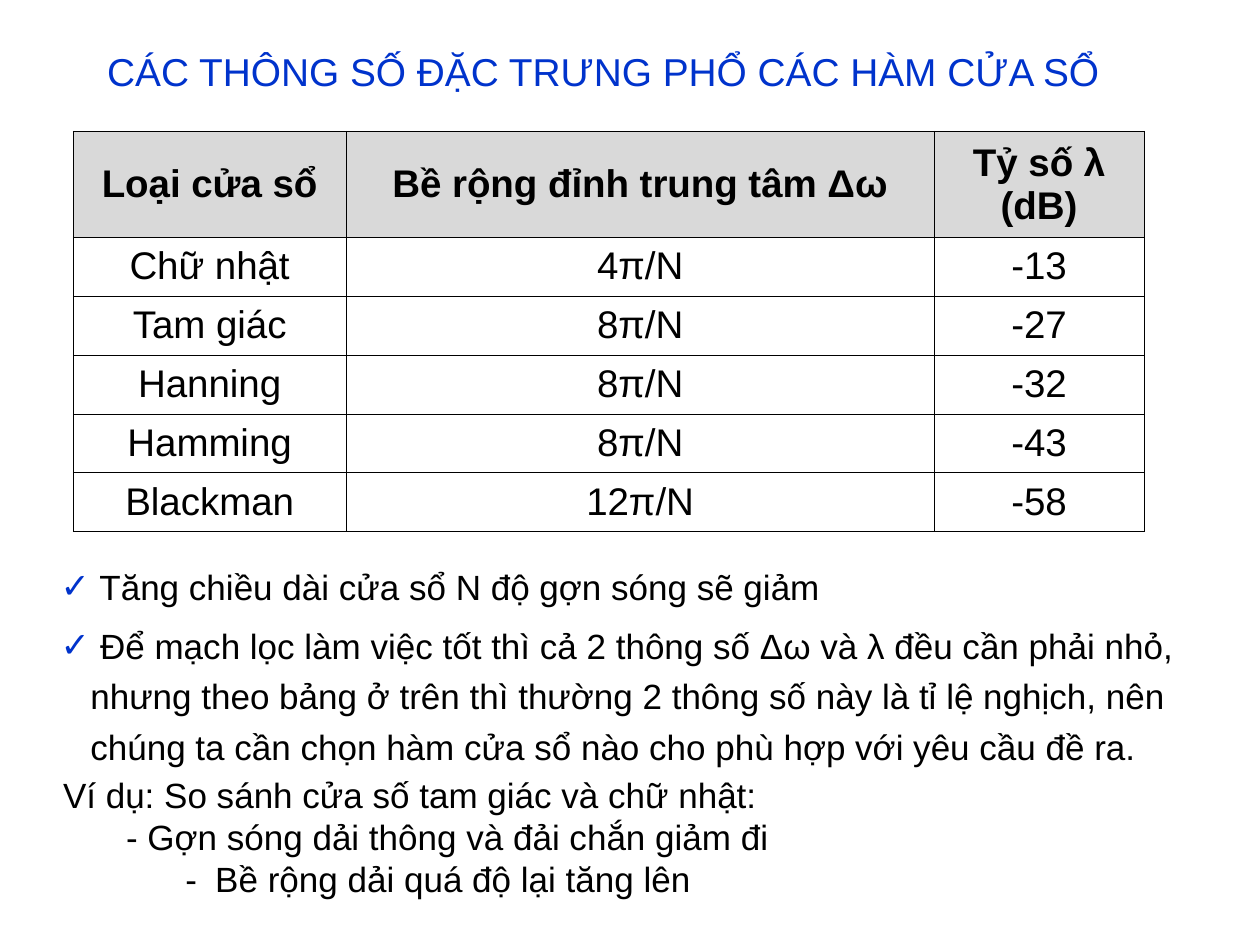
"""Build a slide that compares the spectral parameters of window functions."""
import pptx
import pptx.dml.color
import pptx.enum.text
import pptx.oxml
import pptx.oxml.ns
import pptx.util

Pt = pptx.util.Pt
ALIGN = pptx.enum.text.PP_ALIGN
ANCHOR = pptx.enum.text.MSO_ANCHOR
FONT = "Arial"
BLACK, BLUE, GREY = "000000", "0033CC", "D9D9D9"

TITLE = "CÁC THÔNG SỐ ĐẶC TRƯNG PHỔ CÁC HÀM CỬA SỔ"
WINDOWS = [
    ("Loại cửa sổ", "Bề rộng đỉnh trung tâm Δω", "Tỷ số λ (dB)"),
    ("Chữ nhật", "4π/N", "-13"),
    ("Tam giác", "8π/N", "-27"),
    ("Hanning", "8π/N", "-32"),
    ("Hamming", "8π/N", "-43"),
    ("Blackman", "12π/N", "-58"),
]
REMARKS = [
    " Tăng chiều dài cửa sổ N độ gợn sóng sẽ giảm",
    " Để mạch lọc làm việc tốt thì cả 2 thông số Δω và λ đều cần phải nhỏ, "
    "nhưng theo bảng ở trên thì thường 2 thông số này là tỉ lệ nghịch, nên "
    "chúng ta cần chọn hàm cửa sổ nào cho phù hợp với yêu cầu đề ra.",
]
EXAMPLE = [
    ("Ví dụ: So sánh cửa số tam giác và chữ nhật:", 0, 0),
    ("- Gợn sóng dải thông và đải chắn giảm đi", 36, 0),
    ("-\tBề rộng dải quá độ lại tăng lên", 87, -17),
]
COLUMN_WIDTHS = [156, 336, 120]
HEADER_HEIGHT, ROW_HEIGHT = 60.5, 33.7
BORDER_WIDTH = 0.45


def color(value):
    return pptx.dml.color.RGBColor.from_string(value)


def element(markup):
    tag, rest = markup.split(" ", 1)
    return pptx.oxml.parse_xml(f"{tag} {pptx.oxml.ns.nsdecls('a')} {rest}")


def add_run(paragraph, text, size, fill=BLACK, bold=False):
    run = paragraph.add_run()
    run.text = text
    run.font.name, run.font.size, run.font.bold = FONT, Pt(size), bold
    run.font.color.rgb = color(fill)


def place(shape, left, top, width, height):
    shape.left, shape.top = Pt(left), Pt(top)
    shape.width, shape.height = Pt(width), Pt(height)


def prepare_frame(frame, anchor, margins=(0, 0)):
    frame.word_wrap = True
    frame.auto_size = pptx.enum.text.MSO_AUTO_SIZE.NONE
    frame.vertical_anchor = anchor
    frame.margin_left = frame.margin_right = Pt(margins[0])
    frame.margin_top = frame.margin_bottom = Pt(margins[1])


def paragraphs(frame, count):
    return [frame.paragraphs[0]] + [frame.add_paragraph() for _ in range(count - 1)]


def set_indent(paragraph, left, first):
    properties = paragraph._p.get_or_add_pPr()
    properties.set("marL", str(Pt(left)))
    properties.set("indent", str(Pt(first)))
    return properties


def add_title(slide):
    shape = slide.shapes.title
    place(shape, 21, 24.5, 648, 36)
    prepare_frame(shape.text_frame, ANCHOR.MIDDLE, (7.2, 3.6))
    paragraph = shape.text_frame.paragraphs[0]
    paragraph.alignment, paragraph.line_spacing = ALIGN.CENTER, 0.9
    add_run(paragraph, TITLE, 22.2, BLUE)


def add_borders(cell):
    properties = cell._tc.get_or_add_tcPr()
    for index, side in enumerate(("lnL", "lnR", "lnT", "lnB")):
        properties.insert(index, element(
            f'<a:{side} w="{Pt(BORDER_WIDTH)}"><a:solidFill><a:srgbClr val="{BLACK}"/>'
            f"</a:solidFill></a:{side}>"))


def add_window_table(slide):
    heights = [HEADER_HEIGHT] + [ROW_HEIGHT] * (len(WINDOWS) - 1)
    table = slide.shapes.add_table(
        len(WINDOWS), len(COLUMN_WIDTHS), Pt(41.8), Pt(75),
        Pt(sum(COLUMN_WIDTHS)), Pt(sum(heights))).table
    table.horz_banding = False
    for column, width in zip(table.columns, COLUMN_WIDTHS):
        column.width = Pt(width)
    for row, height, values in zip(table.rows, heights, WINDOWS):
        row.height = Pt(height)
        is_header = values is WINDOWS[0]
        for cell, value in zip(row.cells, values):
            cell.vertical_anchor = ANCHOR.MIDDLE
            if is_header:
                cell.fill.solid()
                cell.fill.fore_color.rgb = color(GREY)
            else:
                cell.fill.background()
            add_borders(cell)
            paragraph = cell.text_frame.paragraphs[0]
            paragraph.alignment = ALIGN.CENTER
            add_run(paragraph, value, 22, bold=is_header)


def add_remarks(slide):
    shape = slide.placeholders[1]
    place(shape, 34.6, 318.2, 660, 82)
    prepare_frame(shape.text_frame, ANCHOR.TOP)
    for index, (paragraph, text) in enumerate(
            zip(paragraphs(shape.text_frame, len(REMARKS)), REMARKS)):
        properties = set_indent(paragraph, 17, -17)
        properties.append(element(f'<a:buClr ><a:srgbClr val="{BLUE}"/></a:buClr>'))
        properties.append(element('<a:buChar char="✓"/>'))
        paragraph.line_spacing = 1.2
        paragraph.space_before = Pt(5 if index else 0)
        add_run(paragraph, text, 20)


def add_example(slide):
    shape = slide.shapes.add_textbox(Pt(36), Pt(442), Pt(660), Pt(82))
    prepare_frame(shape.text_frame, ANCHOR.TOP)
    for paragraph, (text, left, first) in zip(
            paragraphs(shape.text_frame, len(EXAMPLE)), EXAMPLE):
        set_indent(paragraph, left, first)
        add_run(paragraph, text, 20)


def main():
    presentation = pptx.Presentation()
    presentation.slide_width, presentation.slide_height = Pt(720), Pt(540)
    slide = presentation.slides.add_slide(presentation.slide_layouts[1])
    add_title(slide)
    add_window_table(slide)
    add_remarks(slide)
    add_example(slide)
    presentation.save("out.pptx")


if __name__ == "__main__":
    main()
